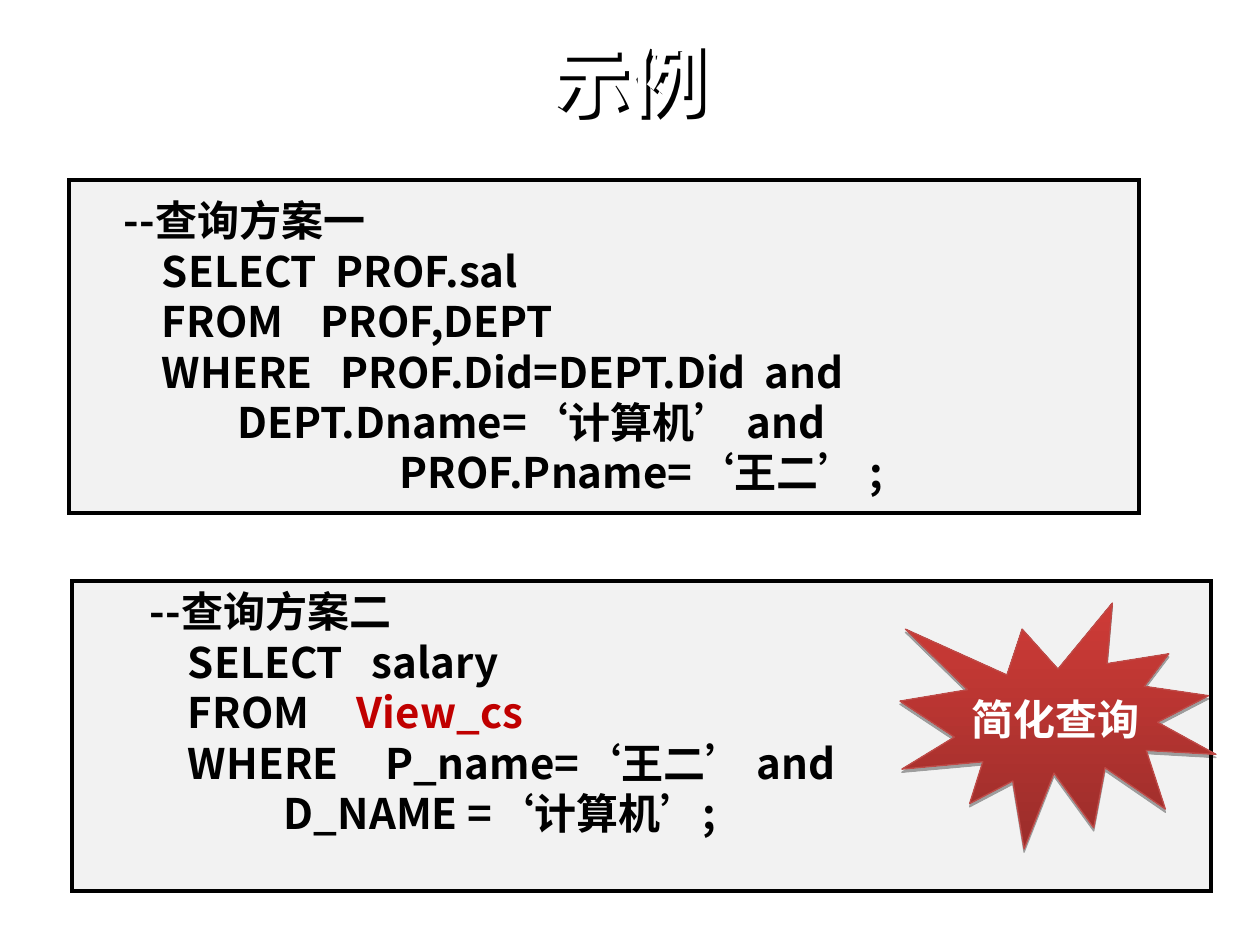
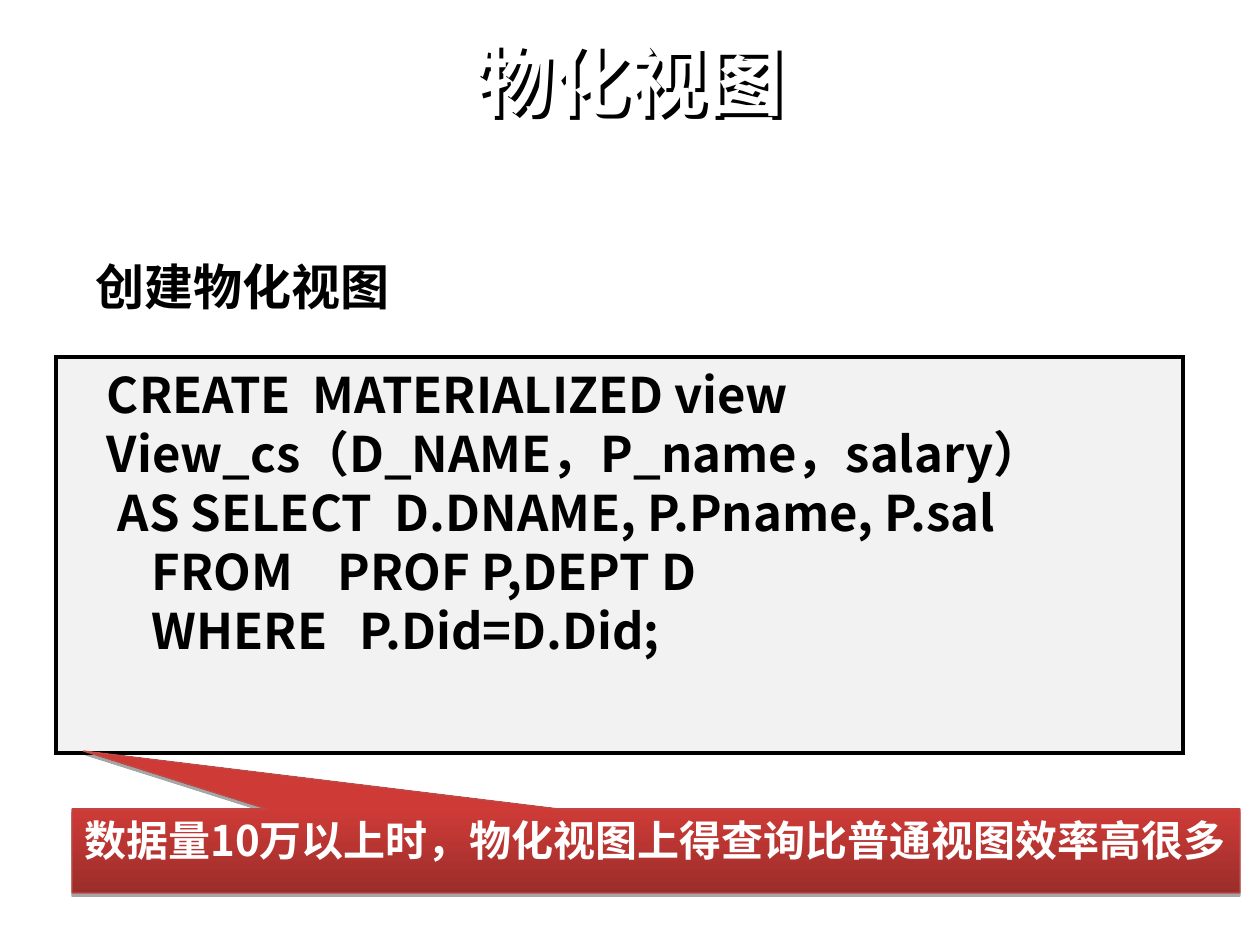
from lxml import etree
from pptx import Presentation
from pptx import util as u
from pptx.dml.color import RGBColor
from pptx.enum import shapes, text
from pptx.oxml import ns

SCALE = 914400 / 126
FONT = "Noto Sans CJK SC"
INK = {
    "white": "FFFFFF",
    "black": "000000",
    "panel": "F2F2F2",
    "key": "C00000",
    "deep": "9B2D2A",
    "red": "CE3B37",
    "edge": "BE4B48",
}
PLAN_ONE = [
    [(0, "--查询方案一")],
    [(38, "SELECT"), (212, "PROF.sal")],
    [(38, "FROM"), (197, "PROF,DEPT")],
    [(38, "WHERE"), (217, "PROF.Did=DEPT.Did"), (641, "and")],
    [(114, "DEPT.Dname=‘计算机’ and")],
    [(276, "PROF.Pname=‘王二’ ;")],
]
PLAN_TWO = [
    [(0, "--查询方案二")],
    [(38, "SELECT"), (222, "salary")],
    [(38, "FROM"), (207, "View_cs", "key")],
    [(38, "WHERE"), (236, "P_name=‘王二’ and")],
    [(134, "D_NAME =‘计算机’;")],
]
VIEW = [
    [(0, "CREATE"), (206, "MATERIALIZED view")],
    [(0, "View_cs（D_NAME，P_name，salary）")],
    [(11, "AS SELECT"), (288, "D.DNAME, P.Pname, P.sal")],
    [(45, "FROM"), (231, "PROF P,DEPT D")],
    [(45, "WHERE"), (253, "P.Did=D.Did;")],
]


def px(n):
    return u.Emu(round(n * SCALE))


def rgb(ink):
    return RGBColor.from_string(INK[ink])


def sub(node, tag, **attrs):
    return etree.SubElement(node, ns.qn(tag), attrs)


def shade(shape, dist, turn, alpha):
    shape.shadow.inherit = False
    glow = shape._element.spPr.find(ns.qn("a:effectLst"))
    drop = sub(glow, "a:outerShdw", blurRad="0", dist=str(u.Pt(dist)),
               dir=str(turn * 60000), algn="tl", rotWithShape="0")
    tint = sub(drop, "a:srgbClr", val=INK["black"])
    sub(tint, "a:alpha", val=str(alpha * 1000))


def style(run, size, ink):
    font = run.font
    font.size, font.bold, font.name = u.Pt(size), True, FONT
    font.color.rgb = rgb(ink)
    sub(run._r.get_or_add_rPr(), "a:ea", typeface=FONT)


def pitch(para, size):
    para.line_spacing = u.Pt(size * 1.2)


def title(slide, words):
    head = slide.shapes.title
    head.left, head.top, head.width, head.height = map(px, (63, 0, 1134, 158))
    head.fill.background()
    shade(head, 3, 45, 100)
    head.text_frame.text = words
    head.text_frame.vertical_anchor = text.MSO_ANCHOR.MIDDLE
    para = head.text_frame.paragraphs[0]
    para.alignment = text.PP_ALIGN.CENTER
    style(para.runs[0], 44, "white")


def panel(slide, *box):
    rect = slide.shapes.add_shape(shapes.MSO_SHAPE.RECTANGLE, *map(px, box))
    rect.shadow.inherit = False
    rect.fill.solid()
    rect.fill.fore_color.rgb = rgb("panel")
    rect.line.color.rgb = rgb("black")
    rect.line.width = u.Pt(2)
    sub(rect._element.spPr.find(ns.qn("a:ln")), "a:miter", lim="800000")


def code(slide, lines, size, left, top):
    high = round(len(lines) * size * 2.1)
    frame = slide.shapes.add_textbox(*map(px, (left, top, 1060, high))).text_frame
    frame.word_wrap = True
    frame.margin_left = frame.margin_right = 0
    frame.margin_top = frame.margin_bottom = 0
    for row, parts in enumerate(lines):
        para = frame.paragraphs[0] if row == 0 else frame.add_paragraph()
        pitch(para, size)
        stops = sub(para._p.get_or_add_pPr(), "a:tabLst")
        for stop, words, *ink in parts:
            run = para.add_run()
            run.text = "\t" + words if stop else words
            style(run, size, ink[0] if ink else "black")
            if stop:
                sub(stops, "a:tab", pos=str(px(stop)), algn="l")


def label(shape, words, size, ink, align, inset):
    frame = shape.text_frame
    frame.text = words
    frame.word_wrap = False
    frame.margin_top = px(inset)
    para = frame.paragraphs[0]
    para.alignment = align
    pitch(para, size)
    style(para.runs[0], size, ink)
    return frame


def badge(slide, kind, *box):
    shape = slide.shapes.add_shape(kind, *map(px, box))
    shape.fill.gradient()
    shape.fill.gradient_angle = 90
    for spot, ink in enumerate(("deep", "red")):
        stop = shape.fill.gradient_stops[spot]
        stop.color.rgb = rgb(ink)
        stop.position = spot
    shape.line.color.rgb = rgb("edge")
    shape.line.width = u.Pt(0.75)
    shade(shape, 1.8, 90, 35)
    return shape


def query(deck):
    slide = deck.slides.add_slide(deck.slide_layouts[5])
    title(slide, "示例")
    panel(slide, 69, 180, 1070, 333)
    code(slide, PLAN_ONE, 24, 124, 195)
    panel(slide, 72, 581, 1139, 310)
    code(slide, PLAN_TWO, 24, 150, 586)
    star = badge(slide, shapes.MSO_SHAPE.EXPLOSION1, 900, 603, 316, 246)
    frame = label(star, "简化查询", 24, "white", text.PP_ALIGN.CENTER, 6)
    frame.vertical_anchor = text.MSO_ANCHOR.MIDDLE


def stored(deck):
    slide = deck.slides.add_slide(deck.slide_layouts[5])
    title(slide, "物化视图")
    panel(slide, 56, 357, 1127, 396)
    code(slide, VIEW, 28, 107, 365)
    note = slide.shapes.add_textbox(*map(px, (83, 251, 319, 72)))
    label(note, "创建物化视图", 28, "black", text.PP_ALIGN.LEFT, 6)
    tip = badge(slide, shapes.MSO_SHAPE.RECTANGULAR_CALLOUT, 72, 809, 1168, 84)
    tip.adjustments[0], tip.adjustments[1] = -0.49, -1.19
    words = "数据量10万以上时，物化视图上得查询比普通视图效率高很多"
    frame = label(tip, words, 24, "white", text.PP_ALIGN.LEFT, 6)
    frame.vertical_anchor = text.MSO_ANCHOR.TOP


def main():
    deck = Presentation()
    deck.slide_width, deck.slide_height = px(1260), px(945)
    query(deck)
    stored(deck)
    deck.save("out.pptx")


if __name__ == "__main__":
    main()
